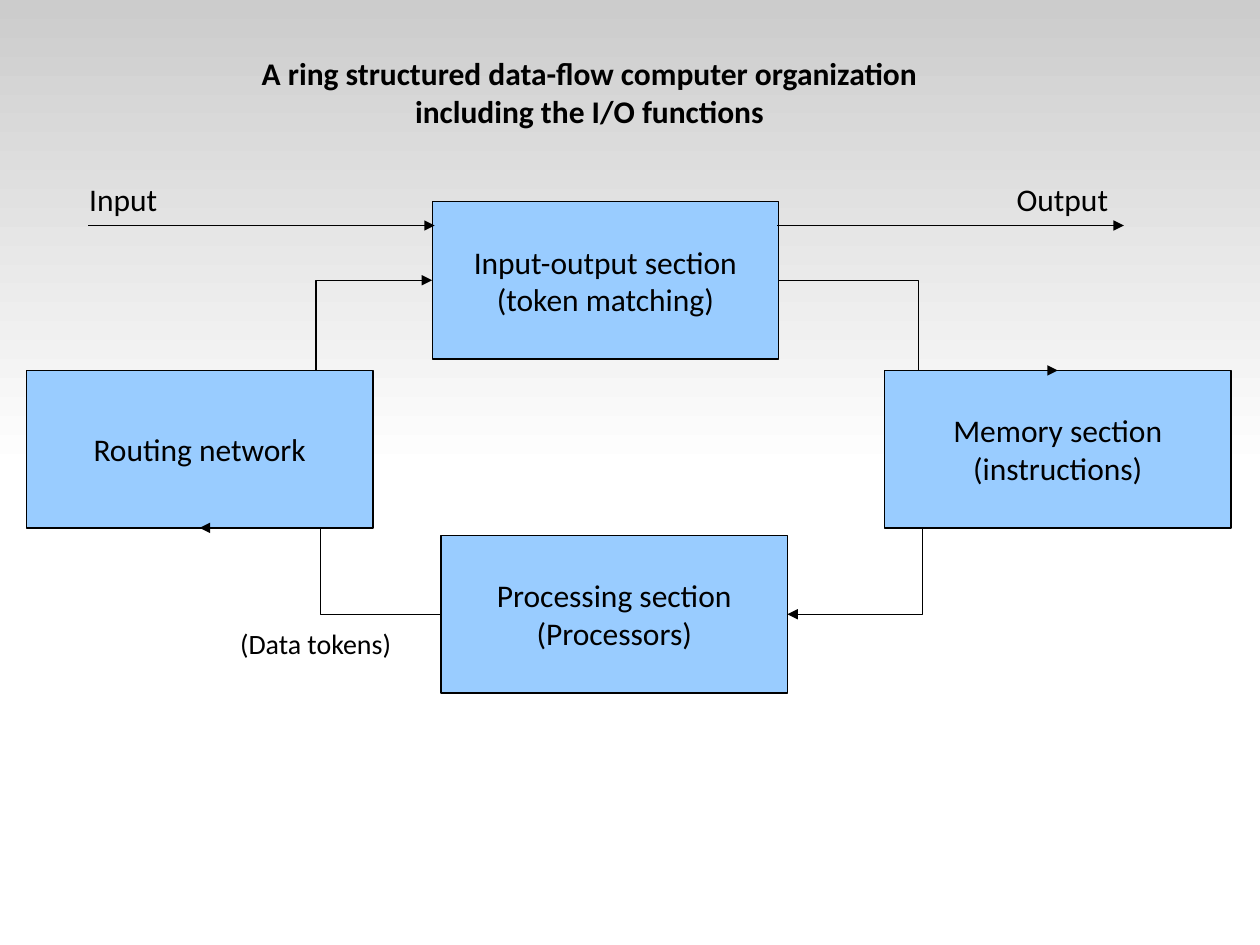
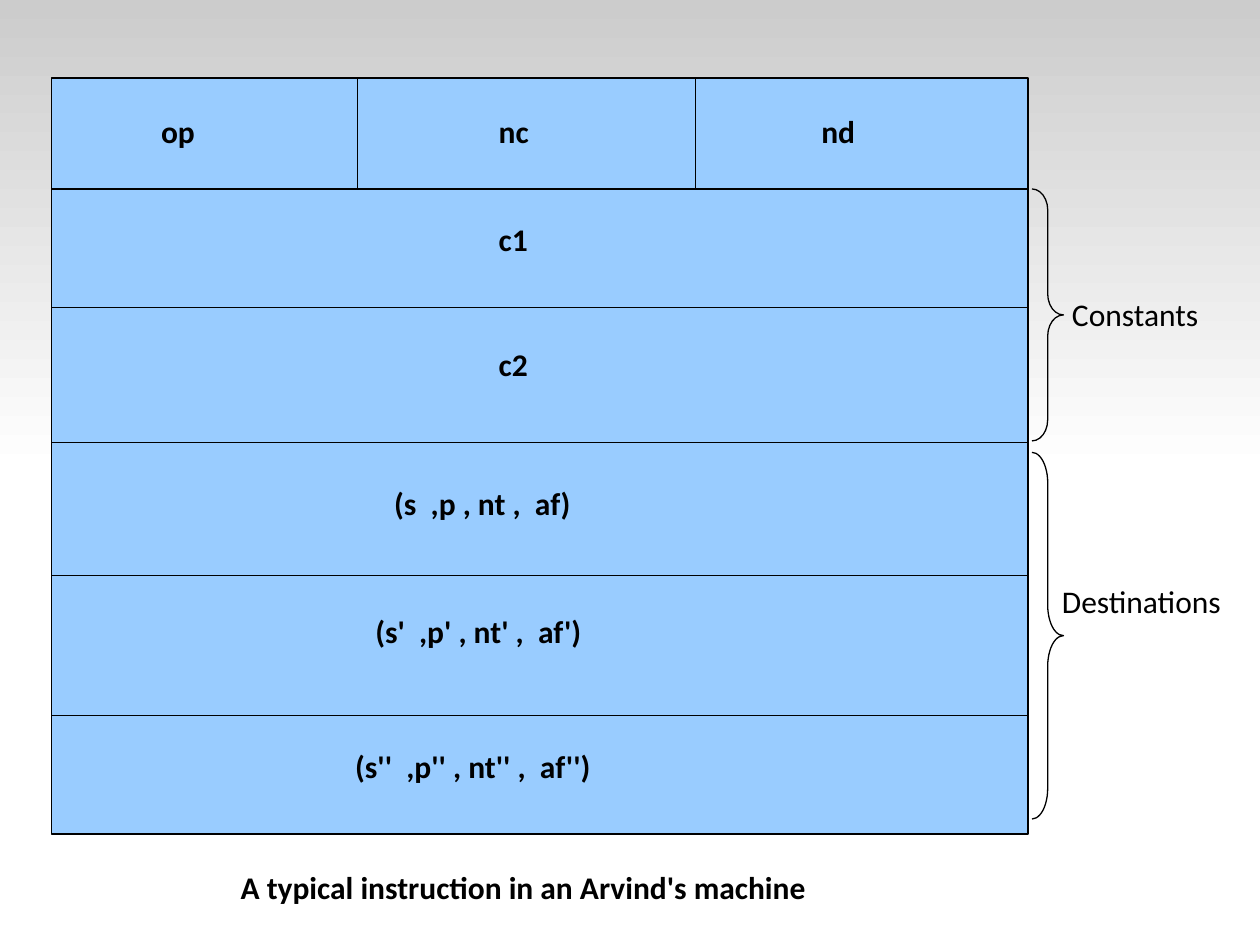
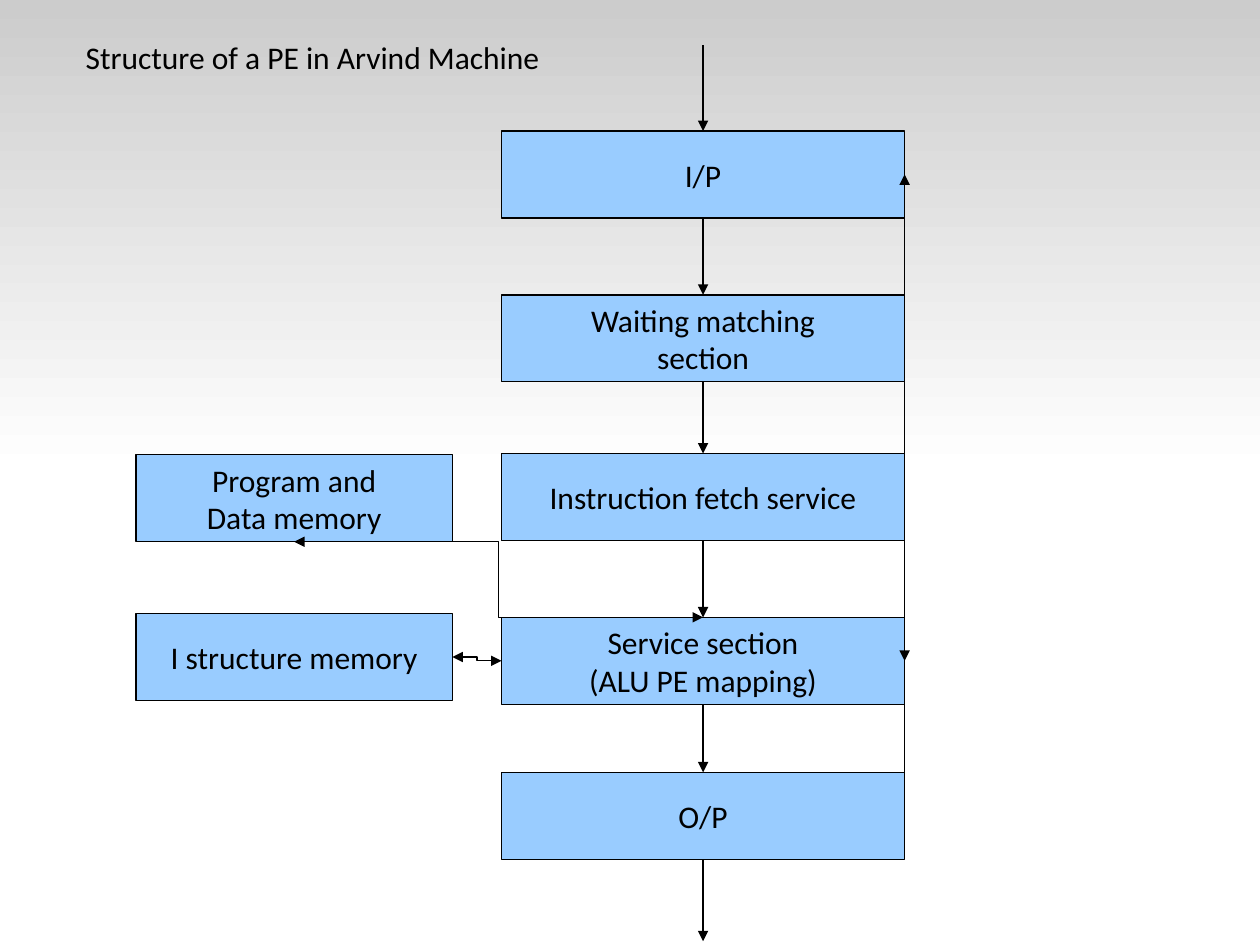
from typing import NamedTuple

from lxml.etree import SubElement
from pptx import Presentation
from pptx.dml.color import RGBColor
from pptx.enum.shapes import MSO_CONNECTOR as Link, MSO_SHAPE as Shape
from pptx.enum.text import MSO_ANCHOR as Anchor, MSO_AUTO_SIZE as Fit, PP_ALIGN as Align
from pptx.oxml.ns import qn
from pptx.util import Emu, Inches, Pt

# Shared look
FONT = "Calibri"
BLUE, BLACK, GREY, WHITE = "99CCFF", "000000", "CCCCCC", "FFFFFF"
WIDE, HIGH = Inches(10), Inches(7.5)
COLS, ROWS = 100, 75
TOP, LEFT, BOTTOM, RIGHT = range(4)


class Area(NamedTuple):
    """A place on the grid, in columns and rows."""
    x: float
    y: float
    w: float
    h: float

    def mid(self, side: int) -> tuple[float, float]:
        return {TOP: (self.x + self.w / 2, self.y),
                LEFT: (self.x, self.y + self.h / 2),
                BOTTOM: (self.x + self.w / 2, self.y + self.h),
                RIGHT: (self.x + self.w, self.y + self.h / 2)}[side]


class Label(NamedTuple):
    text: str
    area: Area
    size: int = 18
    bold: bool = False
    align: Align = Align.LEFT


class Node(NamedTuple):
    text: str
    area: Area


class Bend(NamedTuple):
    start: tuple[float, float]
    end: tuple[float, float]
    both: bool = False


def col(n: float) -> Emu:
    return Emu(round(WIDE * n / COLS))


def row(n: float) -> Emu:
    return Emu(round(HIGH * n / ROWS))


def spot(area: Area) -> tuple[Emu, Emu, Emu, Emu]:
    return col(area.x), row(area.y), col(area.w), row(area.h)


def hue(code: str) -> RGBColor:
    return RGBColor.from_string(code)


def ink(line) -> None:
    line.color.rgb = hue(BLACK)
    line.width = Pt(0.75)


def write(shape, text: str, size: int = 18, bold: bool = False,
          align: Align = Align.CENTER, anchor: Anchor = Anchor.TOP) -> None:
    frame = shape.text_frame
    frame.text = text
    frame.word_wrap = True
    frame.auto_size = Fit.NONE
    frame.vertical_anchor = anchor
    for para in frame.paragraphs:
        para.alignment = align
        for run in para.runs:
            font = run.font
            font.name, font.size, font.bold = FONT, Pt(size), bold
            font.color.rgb = hue(BLACK)


def add_label(slide, label: Label) -> None:
    box = slide.shapes.add_textbox(*spot(label.area))
    write(box, label.text, label.size, label.bold, label.align)


def add_box(slide, node: Node, kind: Shape = Shape.RECTANGLE):
    box = slide.shapes.add_shape(kind, *spot(node.area))
    box.shadow.inherit = False
    box.fill.solid()
    box.fill.fore_color.rgb = hue(BLUE)
    ink(box.line)
    if node.text:
        write(box, node.text, anchor=Anchor.MIDDLE)
    return box


def add_line(slide, start: tuple[float, float], end: tuple[float, float],
             kind: Link = Link.STRAIGHT, head: bool = False, tail: bool = False):
    line = slide.shapes.add_connector(
        kind, col(start[0]), row(start[1]), col(end[0]), row(end[1]))
    ink(line.line)
    props = line.element.spPr
    for tag, shown in (("a:headEnd", head), ("a:tailEnd", tail)):
        if shown:
            SubElement(props.find(qn("a:ln")), qn(tag), type="triangle")
    SubElement(props, qn("a:effectLst"))
    return line


def add_bend(slide, bend: Bend) -> None:
    add_line(slide, bend.start, bend.end, Link.ELBOW, bend.both, True)


def add_brace(slide, area: Area, curve: float) -> None:
    brace = slide.shapes.add_shape(Shape.RIGHT_BRACE, *spot(area))
    brace.adjustments[0] = curve
    brace.shadow.inherit = False
    brace.fill.background()
    ink(brace.line)


def add_page(deck, title: Label):
    slide = deck.slides.add_slide(deck.slide_layouts[5])
    head = slide.shapes.title
    head.left, head.top, head.width, head.height = spot(title.area)
    write(head, title.text, title.size, title.bold, title.align)
    return slide


def add_band(deck, slide) -> None:
    """Put the grey fade on the master, behind its placeholders."""
    band = slide.shapes.add_shape(
        Shape.ROUNDED_RECTANGLE, *spot(Area(0, 0, COLS, ROWS / 2)))
    band.adjustments[0] = 0
    band.shadow.inherit = False
    band.line.fill.background()
    band.fill.gradient()
    band.fill.gradient_angle = 270
    for stop, code in zip(band.fill.gradient_stops, (GREY, WHITE)):
        stop.color.rgb = hue(code)
    deck.slide_master.shapes.element.insert(2, band.element)


def ring_page(deck) -> None:
    slide = add_page(deck, Label(
        "A ring structured data-flow computer organization\nincluding the I/O functions",
        Area(10.1, 3.8, 73.4, 7), bold=True, align=Align.CENTER))
    add_band(deck, slide)

    # Four sections of the ring
    w, h = 27.5, 12.5
    port = Area(34.3, 16, w, h)
    proc = Area(35, 42.5, w, h)
    store = Area(70.2, 29.4, w, h)
    route = Area(2.1, 29.4, w, h)
    for node in (Node("Input-output section\n(token matching)", port),
                 Node("Processing section\n(Processors)", proc),
                 Node("Memory section\n(instructions)", store),
                 Node("Routing network", route)):
        add_box(slide, node)

    # Path round the ring
    for bend in (Bend(store.mid(BOTTOM), proc.mid(RIGHT)),
                 Bend(proc.mid(LEFT), route.mid(BOTTOM)),
                 Bend(route.mid(TOP), port.mid(LEFT)),
                 Bend(port.mid(RIGHT), store.mid(TOP))):
        add_bend(slide, bend)

    # Input and output
    for x in (7, 61.7):
        add_line(slide, (x, 17.9), (x + w, 17.9), tail=True)
    for label in (Label("Input", Area(6.1, 13.8, 8.4, 4)),
                  Label("Output", Area(79.7, 13.8, 10.7, 4)),
                  Label("(Data tokens)", Area(16.4, 49.2, 17.3, 6.3), 16,
                        align=Align.CENTER)):
        add_label(slide, label)


def word_page(deck) -> None:
    slide = add_page(deck, Label("A typical instruction in an Arvind's machine",
                                 Area(18.1, 68.4, 63.4, 4), bold=True))

    # Instruction frame and its rules
    frame = Area(4.1, 6.2, 77.5, 60)
    add_box(slide, Node("", frame))
    rules = (15, 24.4, 35.1, 45.7, 56.8)
    for y in rules:
        add_line(slide, (frame.x, y), (frame.x + frame.w, y))
    for x in (28.4, 55.2):
        add_line(slide, (x, frame.y), (x, rules[0]))

    # Fields
    for text, x, y in (("op", 11.8, 8.4), ("nc", 38.6, 8.4), ("nd", 64.2, 8.4),
                       ("c1", 38.6, 17), ("c2", 38.6, 26.9)):
        add_label(slide, Label(text, Area(x, y, 7.5, 4), bold=True))
    for n, (x, y, w) in enumerate(((30.3, 37.9, 23), (28.8, 48.1, 26.2),
                                   (27.2, 58.8, 28.7))):
        q = "'" * n
        add_label(slide, Label(f"(s{q}  ,p{q} , nt{q} ,  af{q})",
                               Area(x, y, w, 4), bold=True))

    # Groups of fields
    add_brace(slide, Area(81.9, 15, 2.5, 20), 0.67)
    add_brace(slide, Area(81.9, 35.9, 2.5, 29.1), 0.97)
    add_label(slide, Label("Constants", Area(84.1, 22.9, 15, 4)))
    add_label(slide, Label("Destinations", Area(83.3, 45.7, 20, 4)))


def unit_page(deck) -> None:
    slide = add_page(deck, Label("Structure of a PE in Arvind Machine",
                                 Area(5.8, 2.5, 45.8, 4)))

    # Column of stages and the two memories
    steps = (("I/P", 10.4), ("Waiting matching\nsection", 23.4),
             ("Instruction fetch service", 36),
             ("Service section\n(ALU PE mapping)", 49), ("O/P", 61.3))
    stages = [Node(text, Area(39.8, y, 32, 6.9)) for text, y in steps]
    data = Node("Program and\nData memory", Area(10.8, 36.1, 25.1, 6.9))
    store = Node("I structure memory", Area(10.8, 48.7, 25.1, 6.9))
    boxes = [add_box(slide, node, Shape.FLOWCHART_PROCESS) for node in stages]
    for node in (data, store):
        add_box(slide, node, Shape.FLOWCHART_PROCESS)

    # Flow down the column
    first, wait, _, serve, last = (node.area for node in stages)
    mid = first.mid(TOP)[0]
    ends = [None, *boxes, None]
    marks = [(mid, 3.6), *(node.area.mid(TOP) for node in stages), (mid, 74.7)]
    for n, (above, below) in enumerate(zip(ends, ends[1:])):
        line = add_line(slide, marks[n], marks[n + 1], tail=True)
        if above:
            line.begin_connect(above, BOTTOM)
        if below:
            line.end_connect(below, TOP)

    # Side paths
    for bend in (Bend(wait.mid(RIGHT), serve.mid(RIGHT)),
                 Bend(last.mid(RIGHT), first.mid(RIGHT)),
                 Bend(data.area.mid(BOTTOM), serve.mid(TOP), True),
                 Bend(store.area.mid(RIGHT), serve.mid(LEFT), True)):
        add_bend(slide, bend)


def main() -> None:
    deck = Presentation()
    deck.slide_width, deck.slide_height = WIDE, HIGH
    for page in (ring_page, word_page, unit_page):
        page(deck)
    deck.save("out.pptx")


if __name__ == "__main__":
    main()
